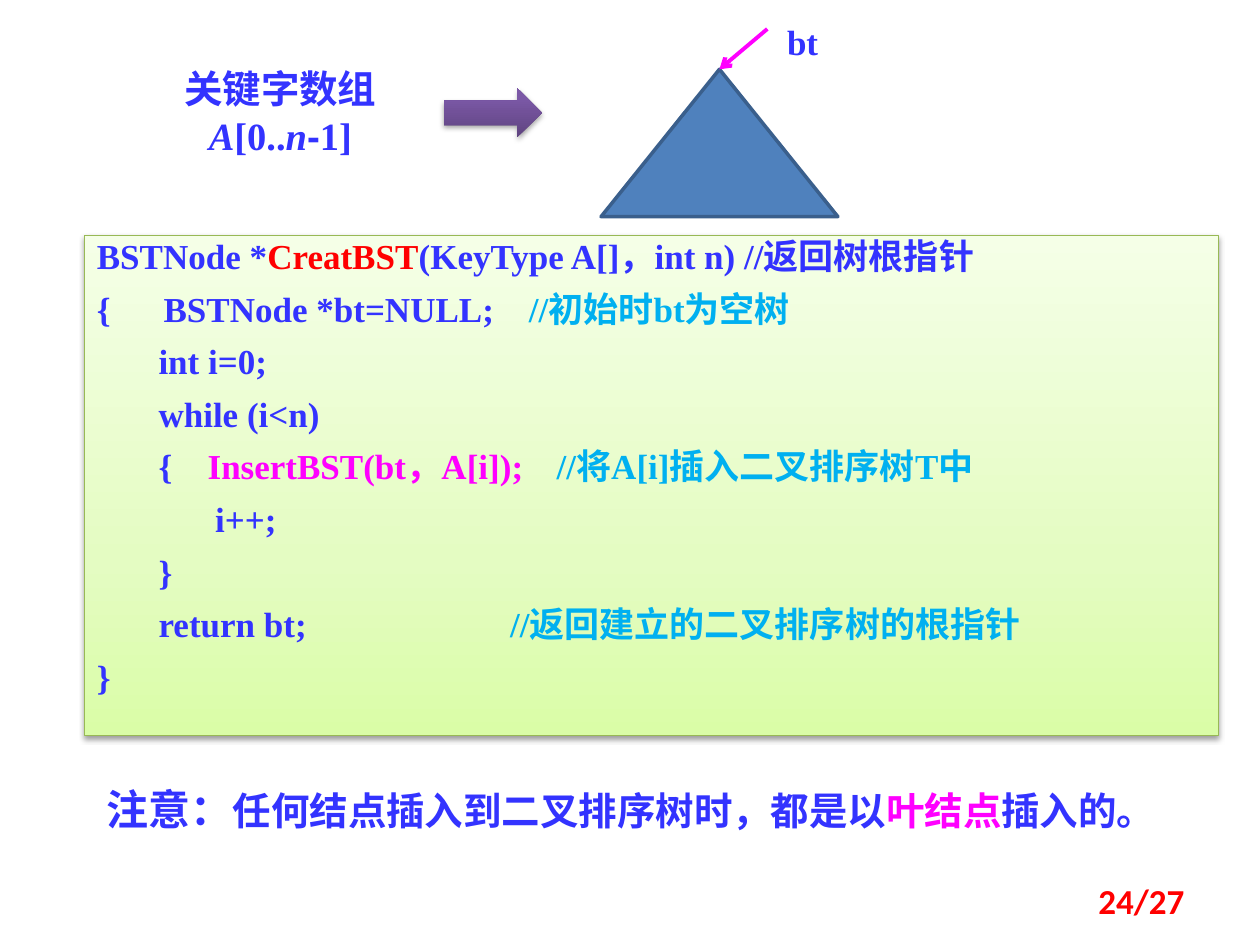
from lxml import etree
from pptx import Presentation
from pptx.dml.color import RGBColor
from pptx.enum.shapes import MSO_CONNECTOR, MSO_SHAPE
from pptx.enum.text import MSO_ANCHOR, PP_ALIGN
from pptx.oxml import parse_xml
from pptx.oxml.ns import nsdecls, qn
from pptx.util import Inches, Pt

BLUE, RED, PINK, CYAN = "3333FF", "FF0000", "FF00FF", "00B0F0"
SERIF, SANS, CJK = "Times New Roman", "Calibri", "Noto Sans CJK SC"

# Each code line: tab stops in inches, then (text, colour) runs
INDENT = 0.49
CODE = [
    ([], [("BSTNode *", BLUE), ("CreatBST", RED),
          ("(KeyType A[]，int n) //返回树根指针", BLUE)]),
    ([0.53, 3.43], [("{\tBSTNode *bt=NULL;\t", BLUE), ("//初始时bt为空树", CYAN)]),
    ([INDENT], [("\tint i=0;", BLUE)]),
    ([INDENT], [("\twhile (i<n)", BLUE)]),
    ([INDENT, 0.88, 3.65], [("\t{\t", BLUE), ("InsertBST(bt，A[i]);\t", PINK),
                            ("//将A[i]插入二叉排序树T中", CYAN)]),
    ([0.94], [("\ti++;", BLUE)]),
    ([INDENT], [("\t}", BLUE)]),
    ([INDENT, 3.28], [("\treturn bt;\t", BLUE), ("//返回建立的二叉排序树的根指针", CYAN)]),
    ([], [("}", BLUE)]),
]
# Runs: text, colour, size, font, italic
NOTE = [("注意：", BLUE, 24, CJK), ("任何结点插入到二叉排序树时，都是以", BLUE, 22, CJK),
        ("叶结点", PINK, 22, CJK), ("插入的。", BLUE, 22, CJK)]
KEYS = [("关键字数组", BLUE, 22, SERIF), ("A", BLUE, 22, SERIF, True),
        ("[0..", BLUE, 22, SERIF), ("n", BLUE, 22, SERIF, True),
        ("-", BLUE, 22, "Arial"), ("1]", BLUE, 22, SERIF)]
GREEN_STOPS = [(0, "DAFDA7"), (35, "E4FCC2"), (100, "F5FFE7")]
PURPLE_STOPS = [(0, "5F4480"), (80, "7B58A6"), (100, "7C57A8")]


def rgb(color):
    return RGBColor.from_string(color)


def box(left, top, width, height):
    return [Inches(v) for v in (left, top, width, height)]


def add_run(p, text, color, size=20, font=SERIF, italic=False):
    r = p.add_run()
    r.text = text
    f = r.font
    f.name, f.size, f.bold, f.italic = font, Pt(size), True, italic
    f.color.rgb = rgb(color)


def add_label(shapes, place, runs, align=PP_ALIGN.LEFT, anchor=MSO_ANCHOR.TOP):
    tf = shapes.add_textbox(*box(*place)).text_frame
    tf.word_wrap, tf.vertical_anchor = True, anchor
    p = tf.paragraphs[0]
    p.alignment = align
    for run in runs:
        add_run(p, *run)


def add_raised(shapes, kind, place, stops, alpha, distance):
    """Add a shape with a bottom-to-top gradient and a soft shadow below."""
    s = shapes.add_shape(kind, *box(*place))
    s.line.fill.background()
    s.fill.gradient()
    gs_list = s._element.spPr.find(qn("a:gradFill")).find(qn("a:gsLst"))
    s.fill.gradient_angle = 90
    for gs in list(gs_list):
        gs_list.remove(gs)
    for pos, color in stops:
        gs_list.append(parse_xml(
            f'<a:gs {nsdecls("a")} pos="{pos * 1000}"><a:srgbClr val="{color}"/></a:gs>'))
    s._element.spPr.append(parse_xml(
        f'<a:effectLst {nsdecls("a")}><a:outerShdw blurRad="{Pt(3.1)}" '
        f'dist="{Pt(distance)}" dir="5400000" rotWithShape="0"><a:srgbClr val="000000">'
        f'<a:alpha val="{alpha * 1000}"/></a:srgbClr></a:outerShdw></a:effectLst>'))
    return s


def add_code(shapes):
    s = add_raised(shapes, MSO_SHAPE.RECTANGLE, (0.67, 1.87, 9, 3.97), GREEN_STOPS, 38, 1.6)
    s.line.color.rgb, s.line.width = rgb("98B955"), Pt(0.75)
    tf = s.text_frame
    tf.word_wrap, tf.vertical_anchor = True, MSO_ANCHOR.TOP
    for i, (stops, runs) in enumerate(CODE):
        p = tf.add_paragraph() if i else tf.paragraphs[0]
        p.alignment = PP_ALIGN.LEFT
        p.line_spacing, p.space_before = Pt(20), Pt(10)
        if stops:
            tabs = etree.SubElement(p._p.get_or_add_pPr(), qn("a:tabLst"))
            for stop in stops:
                etree.SubElement(tabs, qn("a:tab"), pos=str(Inches(stop)), algn="l")
        for run in runs:
            add_run(p, *run)


def add_tree(shapes):
    """Add the tree triangle with the pointer bt to its root."""
    tree = shapes.add_shape(MSO_SHAPE.ISOSCELES_TRIANGLE, *box(4.77, 0.55, 1.88, 1.17))
    tree.shadow.inherit = False
    tree.fill.solid()
    tree.fill.fore_color.rgb = rgb("4F81BD")
    tree.line.color.rgb, tree.line.width = rgb("3A5F8C"), Pt(2)
    pointer = shapes.add_connector(MSO_CONNECTOR.STRAIGHT, *box(6.09, 0.23, 5.7, 0.55))
    pointer.end_connect(tree, 0)
    pointer.line.color.rgb, pointer.line.width = rgb(PINK), Pt(2.25)
    etree.SubElement(pointer.line._get_or_add_ln(), qn("a:tailEnd"), type="arrow")
    etree.SubElement(pointer._element.spPr, qn("a:effectLst"))
    add_label(shapes, (5.94, 0.11, 0.86, 0.44), [("bt", BLUE)], PP_ALIGN.CENTER)


def main():
    prs = Presentation()
    prs.slide_width, prs.slide_height = Inches(10), Inches(7.5)
    shapes = prs.slides.add_slide(prs.slide_layouts[6]).shapes
    add_code(shapes)
    add_label(shapes, (0.75, 6.17, 8.74, 0.5), NOTE)
    add_label(shapes, (1.17, 0.47, 2.11, 0.84), KEYS, PP_ALIGN.CENTER)
    add_raised(shapes, MSO_SHAPE.RIGHT_ARROW, (3.52, 0.7, 0.78, 0.39), PURPLE_STOPS, 35, 1.8)
    add_tree(shapes.add_group_shape().shapes)
    add_label(shapes, (7.17, 6.95, 2.33, 0.4), [("24/27", RED, 20, SANS)],
              PP_ALIGN.RIGHT, MSO_ANCHOR.MIDDLE)
    prs.save("out.pptx")


if __name__ == "__main__":
    main()
